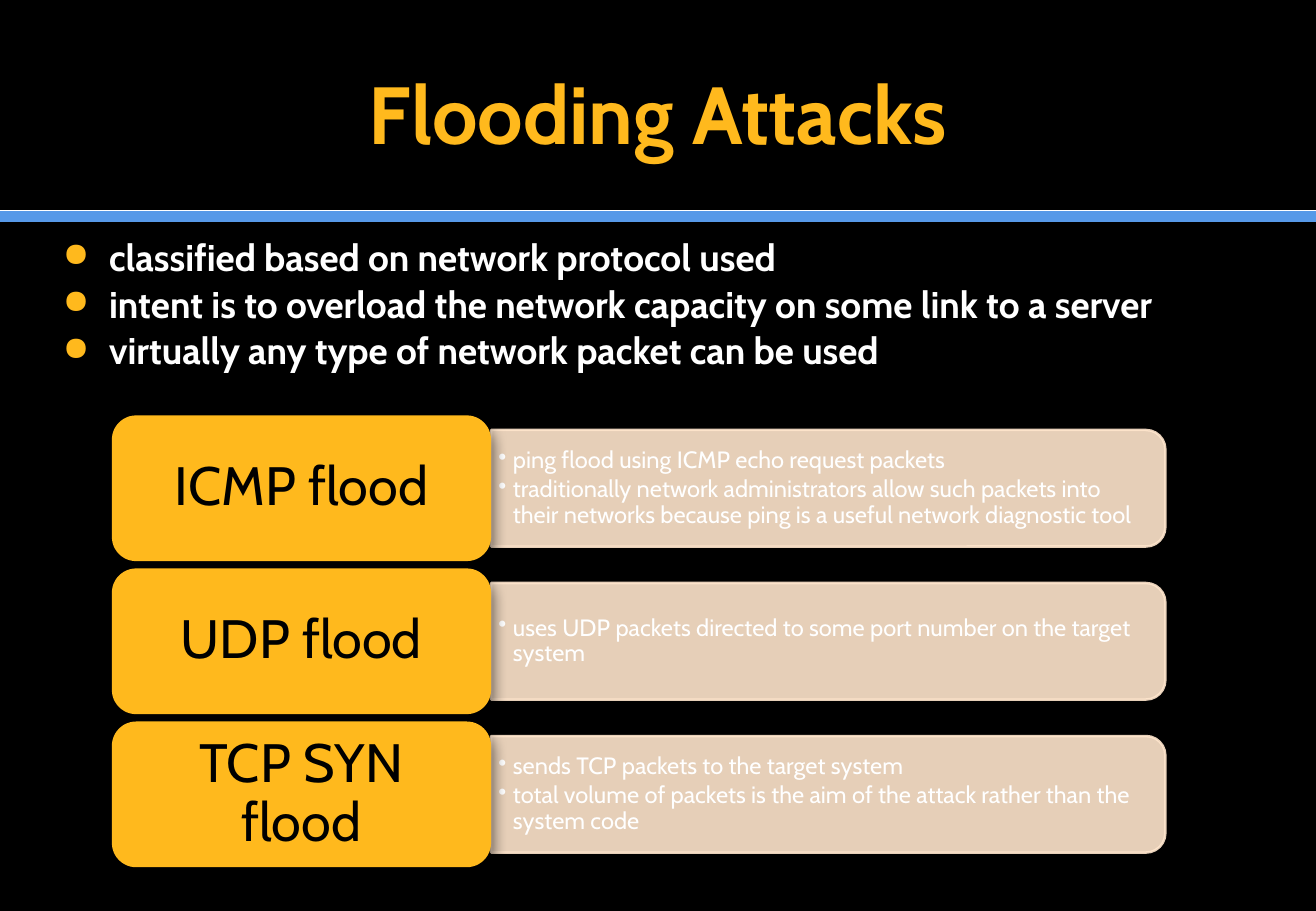
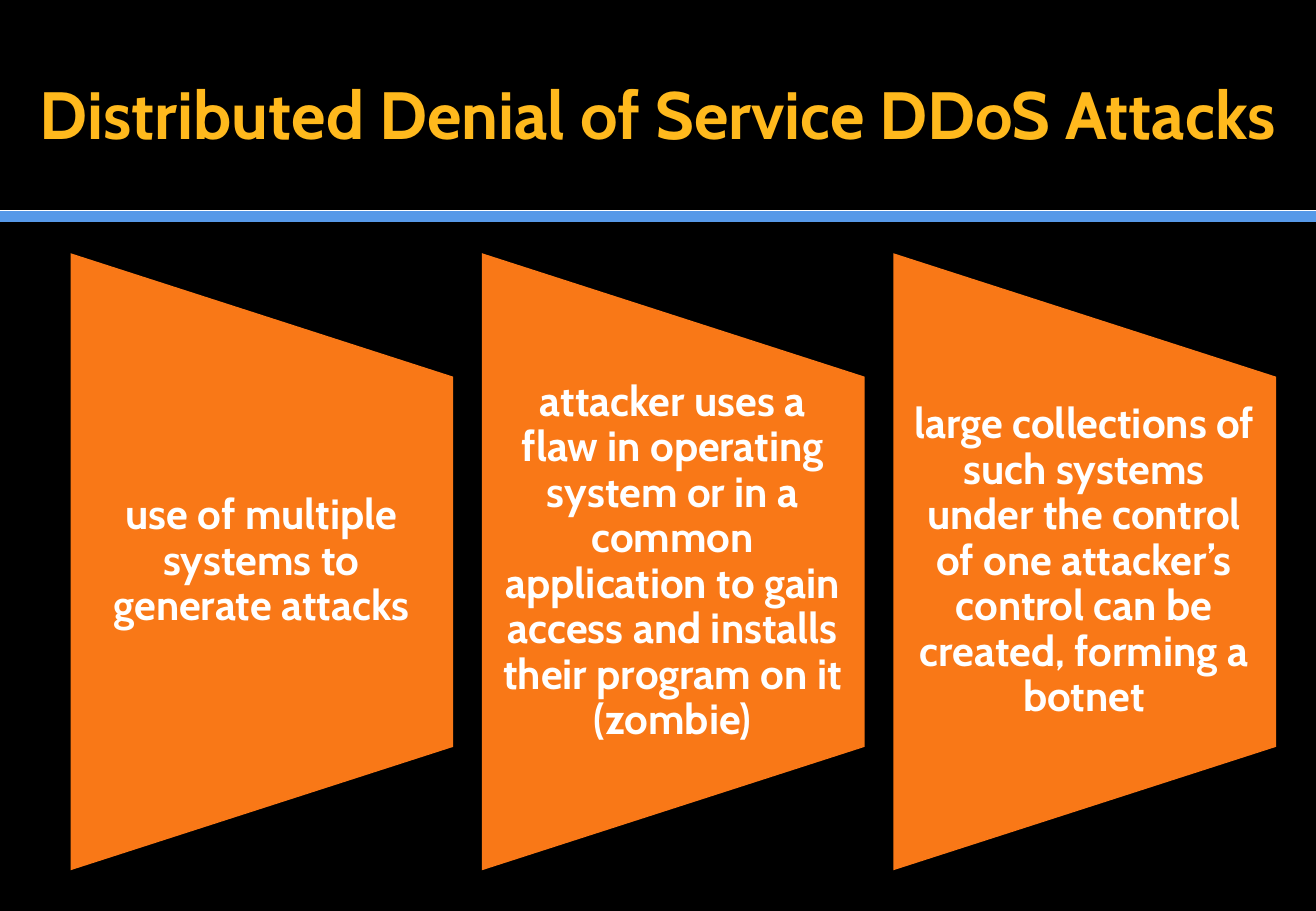
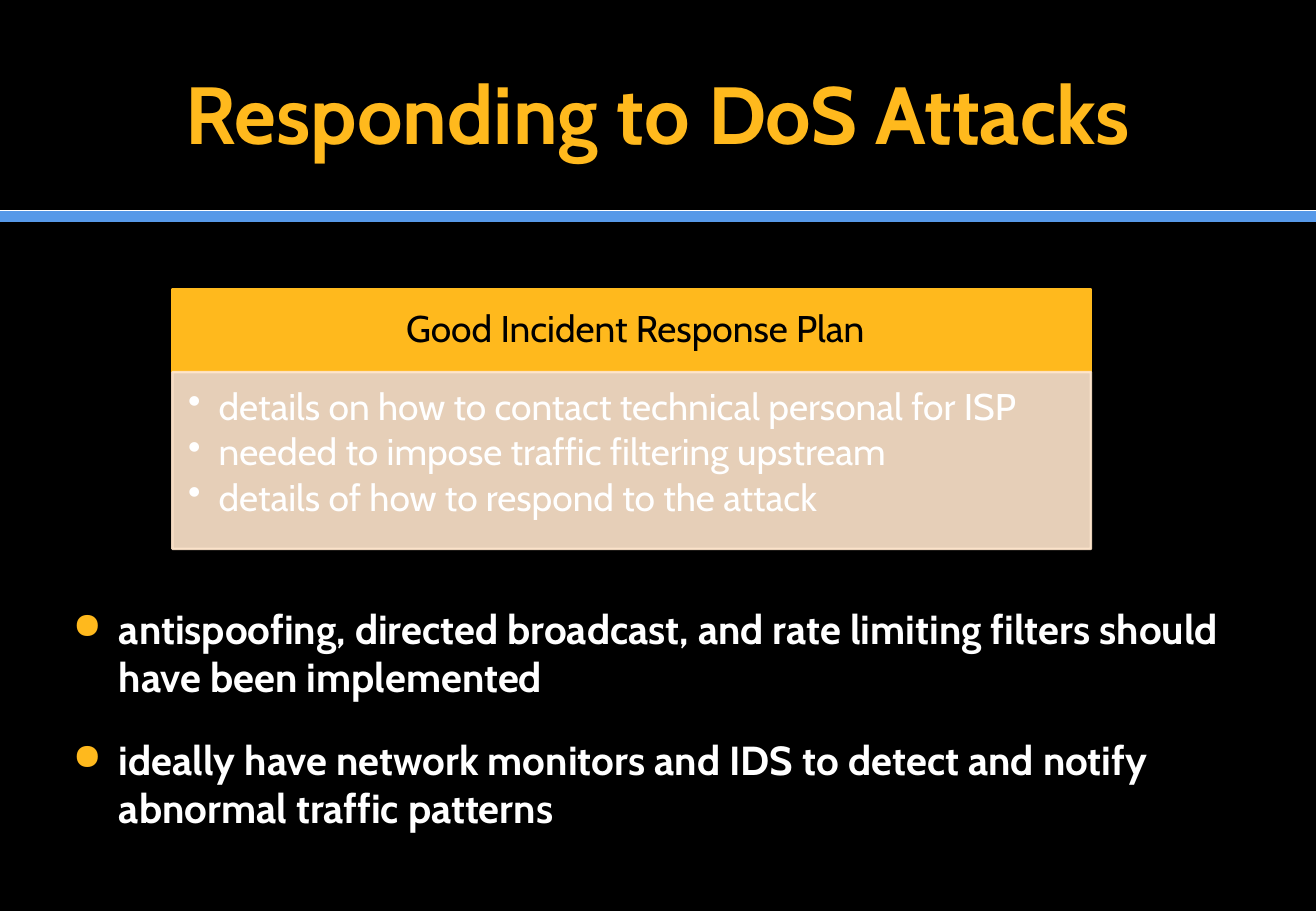
from collections import namedtuple

from lxml import etree
from pptx import Presentation
from pptx.dml.color import RGBColor
from pptx.enum.shapes import MSO_CONNECTOR, MSO_SHAPE
from pptx.enum.text import MSO_ANCHOR, PP_ALIGN
from pptx.oxml.ns import qn
from pptx.util import Emu, Inches, Pt

LINE = MSO_CONNECTOR.STRAIGHT
RECT = MSO_SHAPE.RECTANGLE
ROUND = MSO_SHAPE.ROUNDED_RECTANGLE
TAB = MSO_SHAPE.ROUND_2_SAME_RECTANGLE
FUNNEL = MSO_SHAPE.FLOWCHART_MANUAL_OPERATION
TOP, MID = MSO_ANCHOR.TOP, MSO_ANCHOR.MIDDLE
LEFT, MIDDLE = PP_ALIGN.LEFT, PP_ALIGN.CENTER

WIDE, HIGH = Inches(10.83), Inches(7.5)
FACE = "Cabin"
HUES = {"black": "000000", "white": "FFFFFF", "gold": "FFB91D",
        "blue": "5799E8", "sand": "FFE6CD", "orange": "F97817"}

Box = namedtuple("Box", "x y w h")
Dot = namedtuple("Dot", "sign indent hue size")


def area(x, y, w, h):
    """Box from percentages of the slide's width and height."""
    return Box(WIDE * x / 100, HIGH * y / 100, WIDE * w / 100, HIGH * h / 100)


def part(box, x, y, w, h):
    """Box from shares of another box."""
    return Box(box.x + box.w * x, box.y + box.h * y, box.w * w, box.h * h)


def split(box, count, gap, down=False):
    """Equal cells of a box; gap is a share of one cell."""
    cell = 1 / (count + (count - 1) * gap)
    starts = [i * cell * (1 + gap) for i in range(count)]
    if down:
        return [part(box, 0, s, 1, cell) for s in starts]
    return [part(box, s, 0, cell, 1) for s in starts]


def emu(box):
    return [Emu(round(v)) for v in box]


def color(name):
    return RGBColor.from_string(HUES[name])


def node(parent, tag, **attrs):
    made = etree.SubElement(parent, qn(tag))
    for key, value in attrs.items():
        made.set(key, str(value))
    return made


def bullet(para, dot):
    props = para._p.get_or_add_pPr()
    props.set("marL", str(Inches(dot.indent)))
    props.set("indent", str(-Inches(dot.indent)))
    node(node(props, "a:buClr"), "a:srgbClr", val=HUES[dot.hue])
    node(props, "a:buSzPct", val=dot.size * 1000)
    node(props, "a:buChar", char=dot.sign)


def write(shape, lines, size, hue, bold=False, align=LEFT, anchor=MID,
          pads=(0.1, 0.05, 0.1, 0.05), pitch=0.9, gap=0, dot=None):
    frame = shape.text_frame
    frame.word_wrap = True
    frame.vertical_anchor = anchor
    (frame.margin_left, frame.margin_top,
     frame.margin_right, frame.margin_bottom) = map(Inches, pads)
    for i, line in enumerate(lines):
        para = frame.add_paragraph() if i else frame.paragraphs[0]
        if dot:
            bullet(para, dot)
        para.alignment = align
        para.line_spacing = pitch
        para.space_before = Pt(gap if i else 0)
        run = para.add_run()
        run.text = line
        font = run.font
        font.name, font.size, font.bold = FACE, Pt(size), bold
        font.color.rgb = color(hue)


def text(slide, box, lines, size, hue, **style):
    write(slide.shapes.add_textbox(*emu(box)), lines, size, hue, **style)


def block(slide, kind, box, hue, turn=0, edge=False, alpha=None, shade=False):
    """Filled shape that covers the box as seen after its quarter turn."""
    if turn:
        box = Box(box.x + (box.w - box.h) / 2, box.y + (box.h - box.w) / 2,
                  box.h, box.w)
    shape = slide.shapes.add_shape(kind, *emu(box))
    shape.rotation = turn
    shape.fill.solid()
    shape.fill.fore_color.rgb = color(hue)
    if edge:
        shape.line.color.rgb = color(hue)
        shape.line.width = Pt(1.5)
    else:
        shape.line.fill.background()
    props = shape._element.spPr
    if alpha:
        for paint in props.iter(qn("a:srgbClr")):
            node(paint, "a:alpha", val=alpha * 1000)
    shape.shadow.inherit = False
    if shade:
        cast = node(props.find(qn("a:effectLst")), "a:outerShdw",
                    blurRad=Pt(8), dist=Pt(5), dir=70 * 60000, rotWithShape=0)
        node(node(cast, "a:srgbClr", val=HUES["black"]), "a:alpha", val=50000)
    return shape


def rule(slide, y, hue, width):
    level = Emu(round(HIGH * y / 100))
    line = slide.shapes.add_connector(LINE, 0, level, WIDE, level)
    line.line.color.rgb = color(hue)
    line.line.width = Pt(width)
    node(line._element.spPr, "a:effectLst")


def start(deck, title, size=48, box=area(5, 4, 90, 16.67)):
    """New slide with the shared background, rules and title."""
    slide = deck.slides.add_slide(deck.slide_layouts[6])
    back = slide.background.fill
    back.solid()
    back.fore_color.rgb = color("black")
    rule(slide, 23.7, "blue", 7)
    rule(slide, 23.1, "white", 0.5)
    text(slide, box, [title], size, "gold", bold=True, align=MIDDLE, pitch=1)
    return slide


def points(slide, box, lines, size, pitch, gap):
    text(slide, box, lines, size, "white", bold=True, anchor=TOP,
         pitch=pitch, gap=gap, dot=Dot("●", 0.38, "gold", 90))


def floods(slide, box, rows):
    dot = Dot("•", 0.12, "white", 100)
    cells = split(box, len(rows), 0.05, down=True)
    for cell, (name, notes) in zip(cells, rows):
        panel = part(cell, 0.36, 0.1, 0.64, 0.8)
        block(slide, TAB, panel, "sand", turn=90, edge=True, alpha=90)
        text(slide, part(panel, 0, 0, 0.99, 1), notes, 14, "white",
             pads=(0.06, 0.03, 0.06, 0.03), gap=2.1, dot=dot)
        label = block(slide, ROUND, part(cell, 0, 0, 0.36, 1), "gold",
                      shade=True)
        write(label, [name], 32, "black", align=MIDDLE,
              pads=(0.13, 0.07, 0.13, 0.07))


def funnels(slide, box, notes):
    for cell, note in zip(split(box, len(notes), 0.075), notes):
        block(slide, FUNNEL, cell, "orange", turn=270, shade=True)
        text(slide, part(cell, 0, 0.2, 1, 0.6), [note], 25, "white",
             bold=True, align=MIDDLE, pads=(0.17, 0, 0.18, 0))


def plan(slide, box, name, notes):
    head = block(slide, RECT, part(box, 0, 0, 1, 0.32), "gold",
                 edge=True, shade=True)
    write(head, [name], 22, "black", align=MIDDLE,
          pads=(0.23, 0.1, 0.17, 0.1))
    body = block(slide, RECT, part(box, 0, 0.32, 1, 0.68), "sand",
                 edge=True, alpha=90)
    write(body, notes, 22, "white", anchor=TOP, gap=3.3,
          pads=(0.13, 0.13, 0.17, 0.19), dot=Dot("•", 0.25, "white", 100))


def main():
    deck = Presentation()
    deck.slide_width, deck.slide_height = WIDE, HIGH

    slide = start(deck, "Flooding Attacks")
    points(slide, area(3.88, 25.6, 93.9, 71.1), [
        "classified based on network protocol used",
        "intent is to overload the network capacity on some link to a server",
        "virtually any type of network packet can be used",
    ], 22, 0.9, 4)
    floods(slide, area(8.5, 45.6, 80.05, 49.6), [
        ("ICMP flood", [
            "ping flood using ICMP echo request packets",
            "traditionally network administrators allow such packets into "
            "their networks because ping is a useful network diagnostic tool",
        ]),
        ("UDP flood", [
            "uses UDP packets directed to some port number on the target "
            "system",
        ]),
        ("TCP SYN flood", [
            "sends TCP packets to the target system",
            "total volume of packets is the aim of the attack rather than "
            "the system code",
        ]),
    ])

    slide = start(deck, "Distributed Denial of Service DDoS Attacks", 39.6,
                  area(0, 4, 100, 16.67))
    funnels(slide, area(5.36, 27.8, 91.6, 67.73), [
        "use of multiple systems to generate attacks",
        "attacker uses a flaw in operating system or in a common application "
        "to gain access and installs their program on it (zombie)",
        "large collections of such systems under the control of one "
        "attacker’s control can be created, forming a botnet",
    ])

    slide = start(deck, "Responding to DoS Attacks")
    points(slide, area(4.62, 65.6, 90, 34.4), [
        "antispoofing, directed broadcast, and rate limiting filters should "
        "have been implemented",
        "ideally have network monitors and IDS to detect and notify abnormal "
        "traffic patterns",
    ], 24, 1, 20)
    plan(slide, area(13.1, 31.73, 69.8, 28.53), "Good Incident Response Plan", [
        "details on how to contact technical personal for ISP",
        "needed to impose traffic filtering upstream",
        "details of how to respond to the attack",
    ])

    deck.save("out.pptx")


if __name__ == "__main__":
    main()
